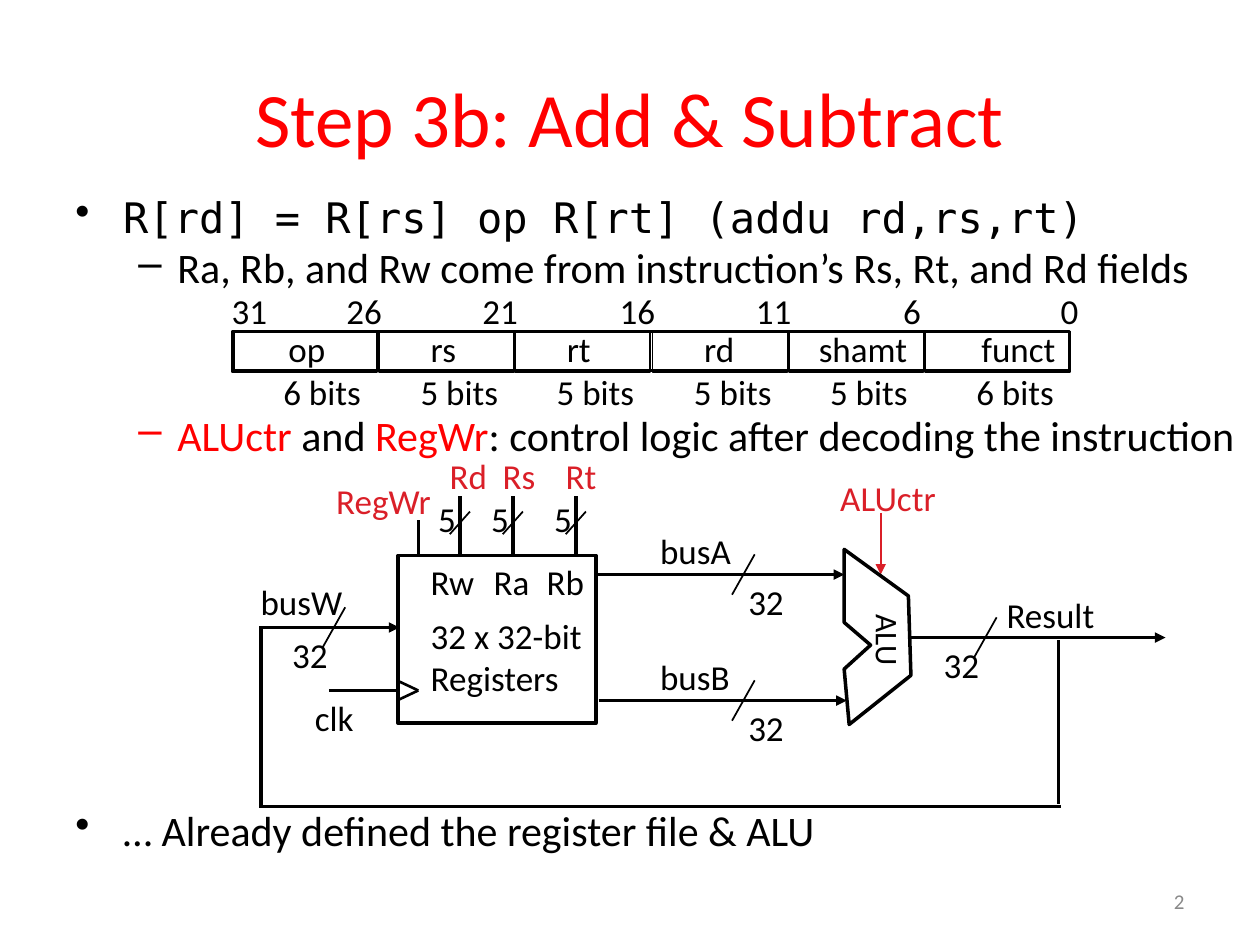
import pptx
import pptx.util
import pptx.dml.color
import pptx.enum.shapes
import pptx.enum.text
import pptx.oxml
import pptx.oxml.ns
import lxml.etree

Inches, Pt = pptx.util.Inches, pptx.util.Pt
RGB = pptx.dml.color.RGBColor
ALIGN = pptx.enum.text.PP_ALIGN
MIDDLE = pptx.enum.text.MSO_ANCHOR.MIDDLE
KIND = pptx.enum.shapes.MSO_SHAPE
STRAIGHT = pptx.enum.shapes.MSO_CONNECTOR.STRAIGHT
qn = pptx.oxml.ns.qn

BLACK = RGB(0, 0, 0)
RED = RGB(255, 0, 0)
SIGNAL = RGB(0xDA, 0x1F, 0x28)
GRAY = RGB(0x89, 0x89, 0x89)
SANS, MONO = "Calibri", "DejaVu Sans Mono"


class Sketch:
    def __init__(self, slide):
        self.slide = slide
        self.shapes = slide.shapes

    def font(self, font, size, color=BLACK, face=SANS):
        font.size, font.name = Pt(size), face
        font.color.rgb = color

    def text(self, x, y, w, h, words, size=20, color=BLACK,
             align=ALIGN.LEFT, wrap=False, anchor=None, turn=0):
        box = self.shapes.add_textbox(Inches(x), Inches(y), Inches(w), Inches(h))
        box.rotation = turn
        frame = box.text_frame
        frame.word_wrap = wrap
        if anchor is not None:
            frame.vertical_anchor = anchor
        frame.text = words
        for para in frame.paragraphs:
            para.alignment = align
            self.font(para.font, size, color)

    def label(self, x, y, w, words, color=BLACK):
        self.text(x, y, w, 0.43, words, color=color)

    def bullets(self, x, y, w, h, items):
        box = self.shapes.add_textbox(Inches(x), Inches(y), Inches(w), Inches(h))
        frame = box.text_frame
        frame.word_wrap = True
        for i, (level, gap, face, runs) in enumerate(items):
            para = frame.add_paragraph() if i else frame.paragraphs[0]
            para.level, para.space_before = level, Pt(gap)
            self.font(para.font, 24, face=face)
            left, hang, mark = [(0.38, 0.38, "•"), (0.81, 0.31, "–")][level]
            props = para._p.get_or_add_pPr()
            props.set("marL", str(Inches(left)))
            props.set("indent", str(-Inches(hang)))
            bullet = lxml.etree.Element(qn("a:buChar"), char=mark)
            props.find(qn("a:defRPr")).addprevious(bullet)
            for words, color in runs:
                run = para.add_run()
                run.text = words
                self.font(run.font, 24, color, face)

    def line(self, x1, y1, x2, y2, width=2, color=BLACK, arrow=False):
        wire = self.shapes.add_connector(
            STRAIGHT, Inches(x1), Inches(y1), Inches(x2), Inches(y2))
        wire.line.width = Pt(width)
        wire.line.color.rgb = color
        if arrow:
            lxml.etree.SubElement(
                wire.line._get_or_add_ln(), qn("a:tailEnd"), type="triangle")
        lxml.etree.SubElement(wire._element.spPr, qn("a:effectLst"))

    def slash(self, x, y, w=0.18, h=0.32):
        self.line(x + w / 2, y - h / 2, x - w / 2, y + h / 2, 1)

    def outline(self, shape, width):
        shape.shadow.inherit = False
        shape.fill.background()
        shape.line.color.rgb = BLACK
        shape.line.width = Pt(width)

    def rect(self, x, y, w, h, width=2):
        self.outline(self.shapes.add_shape(
            KIND.RECTANGLE, Inches(x), Inches(y), Inches(w), Inches(h)), width)

    def outer(self, points):
        dots = [(Inches(x), Inches(y)) for x, y in points]
        form = self.shapes.build_freeform(*dots[0])
        form.add_line_segments(dots[1:], close=True)
        self.outline(form.convert_to_shape(), 2)


def main():
    deck = pptx.Presentation()
    deck.slide_width, deck.slide_height = Inches(10), Inches(7.5)
    art = Sketch(deck.slides.add_slide(deck.slide_layouts[6]))

    # Title, bullets and page number
    art.text(0.5, 0.3, 9, 1.25, "Step 3b: Add & Subtract", 44, RED,
             ALIGN.CENTER, True, MIDDLE)
    art.bullets(0.5, 1.47, 9.5, 4.95, [
        (0, 0, MONO, [("R[rd] = R[rs] op R[rt] (addu rd,rs,rt)", BLACK)]),
        (1, 0, SANS, [("Ra, Rb, and Rw come from instruction’s Rs, Rt, "
                       "and Rd fields", BLACK)]),
        (1, 67, SANS, [("ALUctr", RED), (" and ", BLACK), ("RegWr", RED),
                       (": control logic after decoding the instruction", BLACK)]),
        (0, 197, SANS, [("… Already defined the register file & ALU", BLACK)]),
    ])
    art.text(7.17, 6.95, 2.33, 0.4, "2", 12, GRAY, ALIGN.RIGHT, True, MIDDLE)

    # Instruction format: left edge, name, its offset and width, bits, top bit
    fields = [(1.84, "op", 0.35, 0.5, 6, "31"), (3.01, "rs", 0.31, 0.41, 5, "26"),
              (4.09, "rt", 0.31, 0.4, 5, "21"), (5.18, "rd", 0.31, 0.45, 5, "16"),
              (6.26, "shamt", 0.14, 0.92, 5, "11"),
              (7.34, "funct", 0.35, 0.82, 6, "6")]
    art.rect(1.85, 2.63, 6.64, 0.31)
    for left, name, shift, wide, bits, top in fields:
        art.rect(left, 2.63, 1.15 if bits == 6 else 1.07, 0.32, 1)
        art.label(left + shift, 2.55, wide, name)
        art.label(left + (0.31 if bits == 6 else 0.23), 2.89, 0.83, f"{bits} bits")
        back = {"31": 0.1, "6": 0.27}.get(top, 0.36)
        art.label(left - back, 2.25, 0.2 + 0.14 * len(top), top)
    art.label(8.32, 2.25, 0.34, "0")

    # Register file with clock notch
    art.rect(3.16, 4.41, 1.57, 1.33)
    art.text(3.32, 4.83, 1.41, 0.77, "32 x 32-bit\nRegisters")
    art.line(2.61, 5.48, 3.14, 5.48)
    art.line(3.15, 5.4, 3.32, 5.48, 1.5)
    art.line(3.32, 5.48, 3.15, 5.56, 1.5)
    art.label(2.4, 5.48, 0.52, "clk")

    # Register select inputs: wire, signal and port, each with place and width
    for x, pin, pinx, pinw, port, portx, portw in [
            (3.65, "Rd", 3.47, 0.52, "Rw", 3.32, 0.58),
            (4.07, "Rs", 3.89, 0.48, "Ra", 3.82, 0.52),
            (4.57, "Rt", 4.39, 0.48, "Rb", 4.24, 0.53)]:
        art.line(x, 3.94, x, 4.41)
        art.slash(x, 4.15, 0.16, 0.18)
        art.label(x - 0.27, 3.9, 0.34, "5")
        art.label(pinx, 3.56, pinw, pin, SIGNAL)
        art.label(portx, 4.4, portw, port)

    # Control signals
    art.line(3.32, 4.41, 3.32, 4.13)
    art.label(2.57, 3.76, 0.97, "RegWr", SIGNAL)
    art.line(6.99, 4.07, 6.99, 4.56, 1, SIGNAL, True)
    art.label(6.57, 3.73, 1.08, "ALUctr", SIGNAL)

    # Buses: ends, height, slash, name and width label
    for x1, x2, y, cut, name, namex, namey, wide, numx in [
            (4.73, 6.7, 4.56, 5.9, "busA", 5.14, 4.15, 0.78, 5.84),
            (4.75, 6.72, 5.56, 5.9, "busB", 5.14, 5.15, 0.77, 5.84),
            (2.06, 3.17, 4.98, 2.65, "busW", 1.97, 4.56, 0.86, 2.22),
            (7.22, 9.25, 5.06, 7.82, "Result", 7.89, 4.66, 0.93, 7.39)]:
        art.line(x1, y, x2, y, arrow=True)
        art.slash(cut, y)
        art.label(namex, namey, wide, name)
        art.label(numx, y, 0.48, "32")

    # Write-back loop
    art.line(8.4, 5.08, 8.4, 6.38)
    art.line(8.42, 6.4, 2.06, 6.4)
    art.line(2.07, 6.41, 2.07, 4.97)

    # ALU
    art.outer([(6.7, 4.36), (7.21, 4.73), (7.23, 5.36), (6.74, 5.75),
               (6.7, 5.31), (6.91, 5.12), (6.7, 4.94)])
    art.text(6.74, 4.89, 0.62, 0.4, "ALU", 18, turn=90)

    deck.save("out.pptx")


if __name__ == "__main__":
    main()
